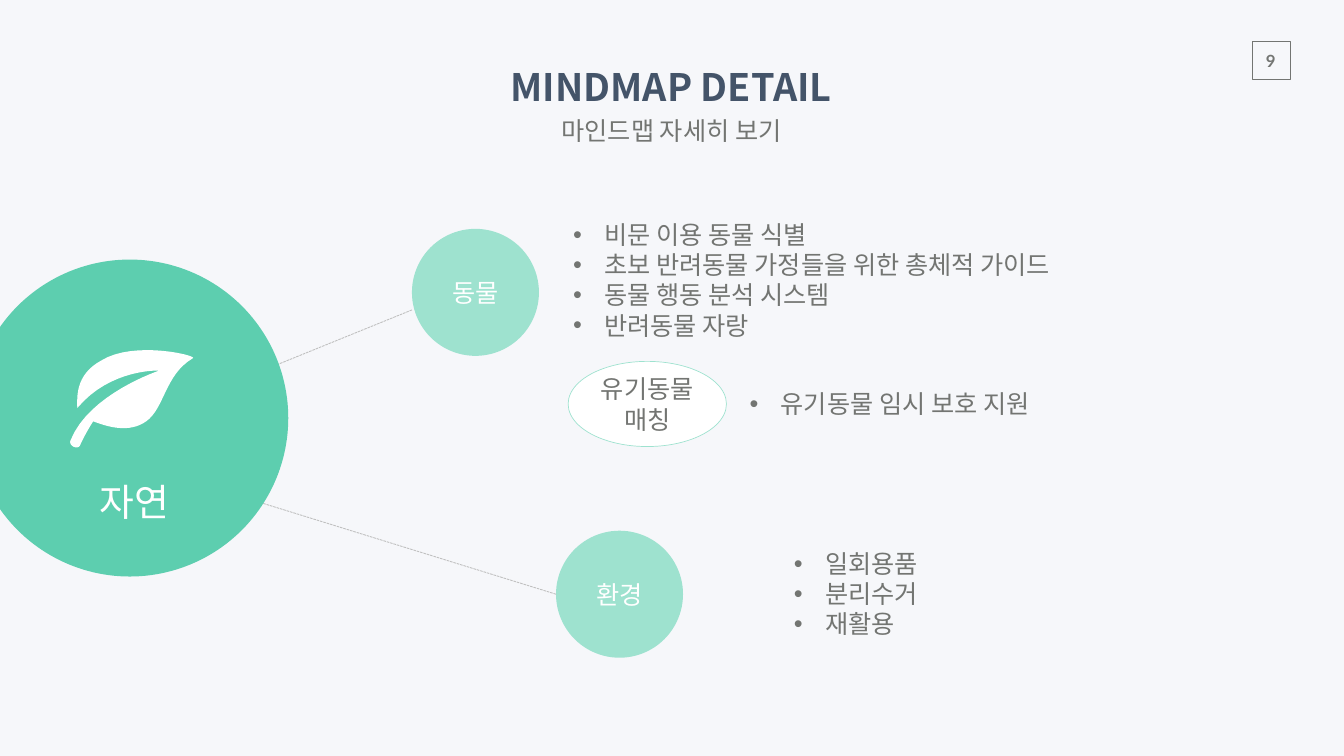
"""Build the mind map detail slide on a grid of 100 columns by 100 rows."""
from lxml import etree
from pptx import Presentation
from pptx import util as u
from pptx.dml.color import RGBColor
from pptx.enum import dml, shapes, text
from pptx.oxml import ns

W, H = 26.66, 15
COL, ROW = W / 100, H / 100
BACK = RGBColor(0xF6, 0xF7, 0xFA)
GREY = RGBColor(0x73, 0x75, 0x72)
RULE = RGBColor(0xBF, 0xBF, 0xBF)
NAVY = RGBColor(0x44, 0x54, 0x69)
GREEN = RGBColor(0x5D, 0xCE, 0xAF)
MINT = RGBColor(0x9E, 0xE2, 0xCF)
WHITE = RGBColor(0xFF, 0xFF, 0xFF)
SANS, LATO = "Noto Sans CJK KR", "Lato"
BRANCH = (9.45, 16.8)
LIST_W = 49.06
INDENT = u.Inches(0.62)
HEADING = {"margin_left": u.Inches(0.27), "margin_right": u.Inches(0.27),
           "margin_top": u.Inches(0.13), "margin_bottom": u.Inches(0.13),
           "vertical_anchor": text.MSO_ANCHOR.MIDDLE}
PAGE = {"margin_left": u.Inches(0.2), "margin_right": u.Inches(0.2),
        "margin_top": u.Inches(0.1), "margin_bottom": u.Inches(0.1)}
LEAF_BOX = (5.06, 44.93, 9.86, 14.6)
LEAF_START = (0.25, 0.19)
LEAF_CURVES = [
    ((0.05, 0.32), (0.07, 0.53), (0.07, 0.62)),
    ((0.32, 0.26), (0.69, 0.28), (0.69, 0.28)),
    ((0.69, 0.28), (0.16, 0.49), (0.02, 0.91)),
    ((0, 0.96), (0.07, 1), (0.09, 0.96)),
    ((0.13, 0.85), (0.19, 0.74), (0.19, 0.74)),
    ((0.3, 0.79), (0.46, 0.85), (0.59, 0.74)),
    ((0.73, 0.62), (0.73, 0.32), (0.94, 0.17)),
    ((1, 0.15), (0.5, 0), (0.25, 0.19)),
]


def cols(n):
    """Turn grid columns into a length."""
    return u.Inches(n * COL)


def rows(n):
    """Turn grid rows into a length."""
    return u.Inches(n * ROW)


def place(x, y, w, h):
    """Turn a grid box into four lengths."""
    return cols(x), rows(y), cols(w), rows(h)


def apply(obj, values):
    """Set each named attribute of an object."""
    for name, value in values.items():
        setattr(obj, name, value)


def paint(sp, fill=None, line=None):
    """Give a shape its fill and outline."""
    sp.shadow.inherit = False
    if fill is None:
        sp.fill.background()
    else:
        sp.fill.solid()
        sp.fill.fore_color.rgb = fill
    if line is None:
        sp.line.fill.background()
    else:
        sp.line.color.rgb = line
        sp.line.width = u.Pt(1)


def write(p, words, size, color, name=SANS, bold=False):
    """Add one formatted run to a paragraph."""
    r = p.add_run()
    r.text = words
    apply(r.font, {"size": u.Pt(size), "name": name, "bold": bold})
    r.font.color.rgb = color
    ea = etree.SubElement(r.font._element, ns.qn("a:ea"))
    ea.set("typeface", SANS)


def add_preset(s, kind, box, fill=None, line=None, words="", color=WHITE):
    """Add a preset shape with an optional centred label."""
    sp = s.shapes.add_shape(kind, *place(*box))
    paint(sp, fill, line)
    if words:
        apply(sp.text_frame, {"word_wrap": True, "vertical_anchor": text.MSO_ANCHOR.MIDDLE})
        p = sp.text_frame.paragraphs[0]
        p.alignment = text.PP_ALIGN.CENTER
        write(p, words, 36, color)


def add_label(s, box, words, size, color, frame, wrap=False, **font):
    """Add a centred line of text."""
    tf = s.shapes.add_textbox(*place(*box)).text_frame
    apply(tf, {"word_wrap": wrap, "auto_size": text.MSO_AUTO_SIZE.SHAPE_TO_FIT_TEXT, **frame})
    p = tf.paragraphs[0]
    p.alignment = text.PP_ALIGN.CENTER
    write(p, words, size, color, **font)


def add_bullets(s, box, items, name=SANS):
    """Add a bulleted list."""
    tf = s.shapes.add_textbox(*place(*box)).text_frame
    apply(tf, {"word_wrap": True, "auto_size": text.MSO_AUTO_SIZE.SHAPE_TO_FIT_TEXT})
    for i, item in enumerate(items):
        p = tf.add_paragraph() if i else tf.paragraphs[0]
        ppr = p._p.get_or_add_pPr()
        ppr.set("marL", str(INDENT))
        ppr.set("indent", str(-INDENT))
        etree.SubElement(ppr, ns.qn("a:buFont")).set("typeface", "Arial")
        etree.SubElement(ppr, ns.qn("a:buChar")).set("char", "•")
        write(p, item, 36, GREY, name)


def add_link(s, x1, y1, x2, y2):
    """Add a dashed line between two grid points."""
    sp = s.shapes.add_connector(
        shapes.MSO_CONNECTOR.STRAIGHT, cols(x1), rows(y1), cols(x2), rows(y2))
    apply(sp.line, {"width": u.Pt(1.25), "dash_style": dml.MSO_LINE.SQUARE_DOT})
    sp.line.color.rgb = RULE
    etree.SubElement(sp._element.spPr, ns.qn("a:effectLst"))


def curve(start, c1, c2, end, steps=16):
    """Sample a cubic curve after its start point."""
    for i in range(1, steps + 1):
        t = i / steps
        k = ((1 - t) ** 3, 3 * t * (1 - t) ** 2, 3 * t * t * (1 - t), t ** 3)
        yield tuple(sum(a * b for a, b in zip(k, axis)) for axis in zip(start, c1, c2, end))


def add_leaf(s):
    """Draw the leaf from its curves."""
    x, y, w, h = place(*LEAF_BOX)
    points = [LEAF_START]
    for c in LEAF_CURVES:
        points.extend(curve(points[-1], *c))
    spots = [(round(x + a * w), round(y + b * h)) for a, b in points]
    fb = s.shapes.build_freeform(*spots[0])
    fb.add_line_segments(spots[1:], close=True)
    paint(fb.convert_to_shape(), WHITE)


def main():
    """Build and save the slide."""
    prs = Presentation()
    apply(prs, {"slide_width": u.Inches(W), "slide_height": u.Inches(H)})
    s = prs.slides.add_slide(prs.slide_layouts[6])
    s.background.fill.solid()
    s.background.fill.fore_color.rgb = BACK
    oval = shapes.MSO_SHAPE.OVAL

    add_preset(s, shapes.MSO_SHAPE.RECTANGLE, (93.17, 5.47, 2.81, 5), line=GREY)
    add_label(s, (93.02, 6, 3.04, 4.07), "9", 24, GREY, PAGE, name=LATO, bold=True)

    add_preset(s, oval, (41.37, 70.2, *BRANCH), MINT, words="환경")
    add_link(s, 30.65, 41, 15.23, 52.13)
    add_preset(s, oval, (30.65, 30.27, *BRANCH), MINT, words="동물")
    add_link(s, 41.37, 78.6, 14.29, 63.67)

    add_bullets(s, (42.27, 28.67, LIST_W, 16.8), [
        "비문 이용 동물 식별", "초보 반려동물 가정들을 위한 총체적 가이드",
        "동물 행동 분석 시스템", "반려동물 자랑"])
    add_bullets(s, (58.7, 72.2, LIST_W, 12.8), ["일회용품", "분리수거", "재활용"])
    add_preset(s, oval, (42.27, 47.8, 11.78, 11.27), WHITE, MINT, "유기동물 매칭", GREY)
    add_bullets(s, (55.4, 51.07, LIST_W, 4.73), ["유기동물 임시 보호 지원"], LATO)

    add_preset(s, oval, (-2.14, 34.33, 23.59, 41.93), GREEN)
    add_label(s, (3.26, 62.33, 13.47, 7.87), "자연", 54, WHITE, HEADING, wrap=True)
    add_leaf(s)

    add_label(s, (36.98, 7.47, 25.92, 7.87), "MINDMAP DETAIL", 54, NAVY, HEADING, bold=True)
    add_label(s, (40.4, 14.33, 19.13, 5.87), "마인드맵 자세히 보기", 36, GREY, HEADING)
    prs.save("out.pptx")


if __name__ == "__main__":
    main()
